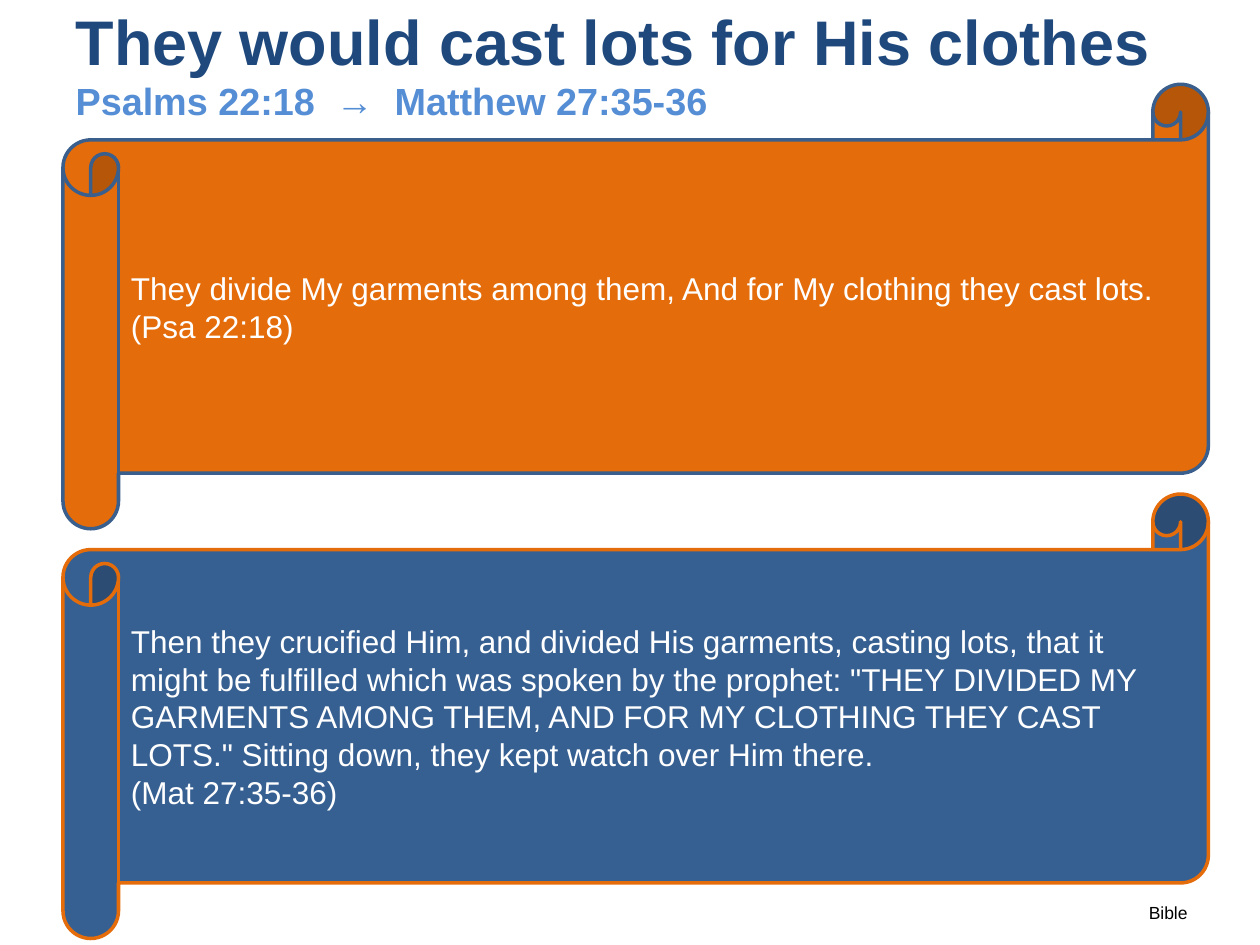
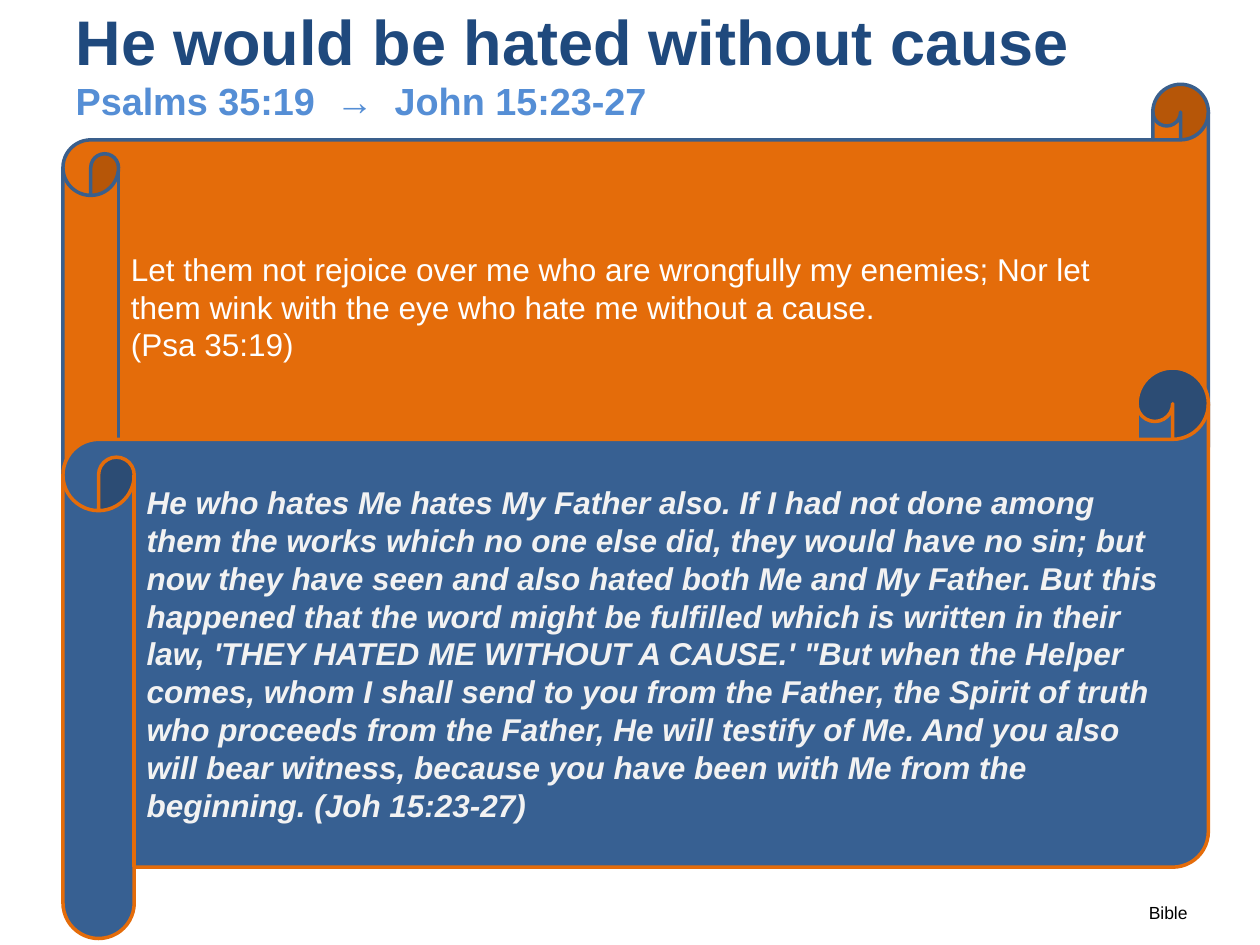
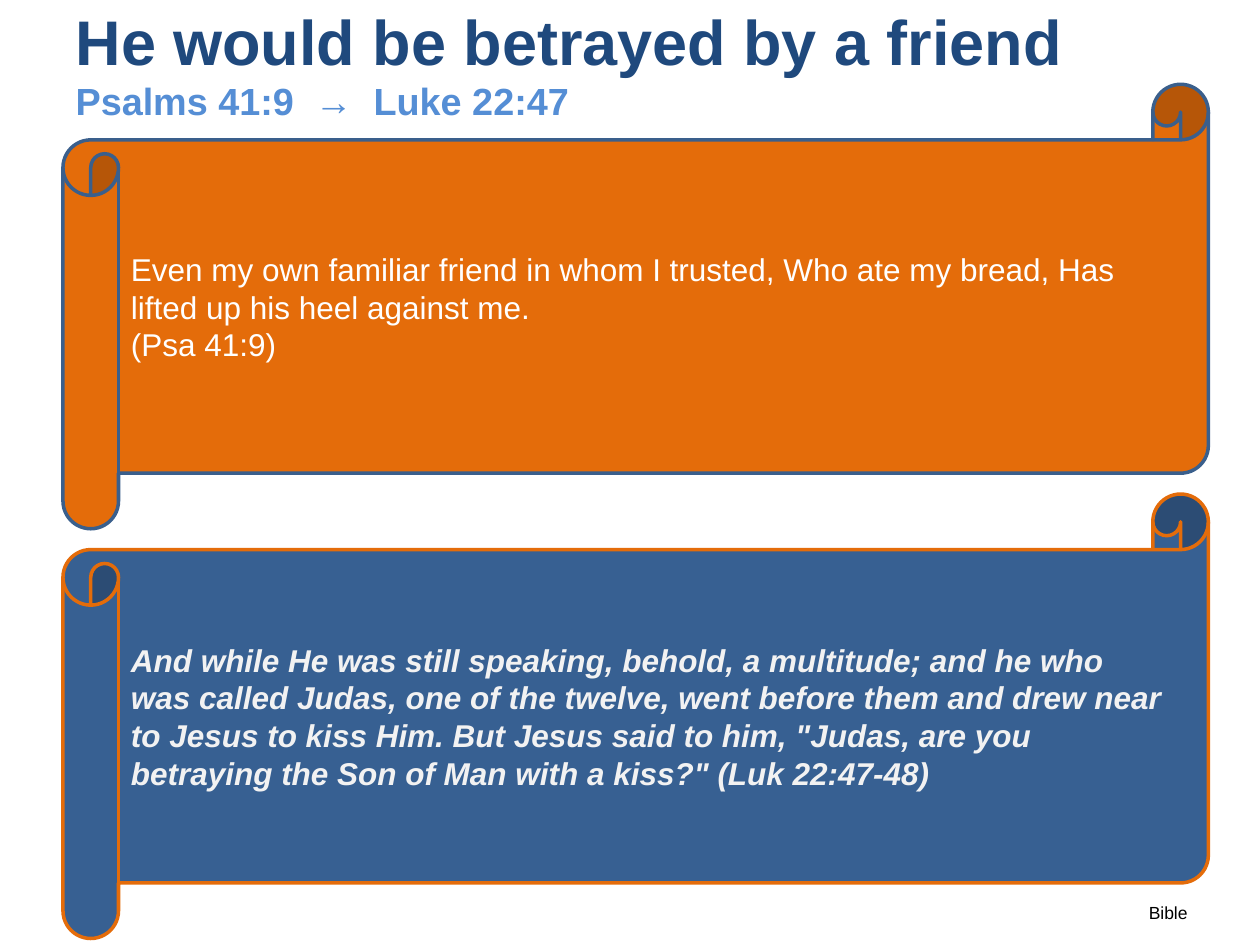
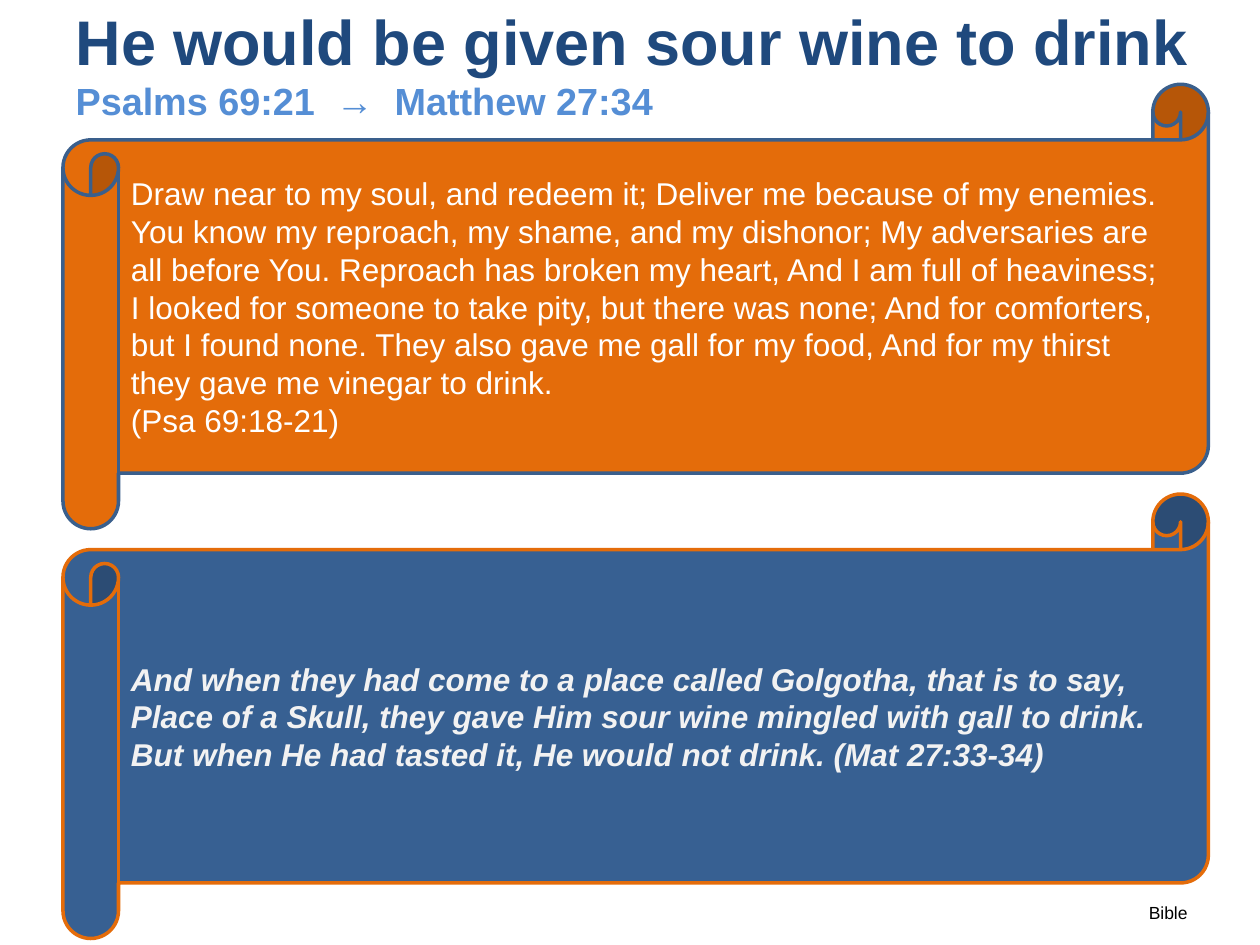
import pptx
import pptx.dml.color
import pptx.enum.shapes
import pptx.enum.text
import pptx.util

COLORS = {
    "title": "1F497D",
    "reference": "558ED5",
    "psalm": "E46C0A",
    "psalm_edge": "3A5F8C",
    "gospel": "376092",
    "white": "FFFFFF",
    "soft_white": "F2F2F2",
    "black": "000000",
}
FONT = "Arial"
LEFT = pptx.util.Cm(1.27)
SCROLL_WIDTH = pptx.util.Cm(23.09)
PSALM_TOP, PSALM_BOTTOM = pptx.util.Cm(1.7), pptx.util.Cm(10.66)
GOSPEL_BOTTOM = pptx.util.Cm(18.92)

# Each prophecy: verses are lists of paragraphs
PROPHECIES = [
    {
        "title": "They would cast lots for His clothes",
        "reference": "Psalms 22:18  →  Matthew 27:35-36",
        "title_width": 22.86,
        "psalm": [
            "They divide My garments among them, And for My clothing they cast lots.",
            "(Psa 22:18)",
        ],
        "gospel": [
            "Then they crucified Him, and divided His garments, casting lots, that it "
            "might be fulfilled which was spoken by the prophet: \"THEY DIVIDED MY "
            "GARMENTS AMONG THEM, AND FOR MY CLOTHING THEY CAST LOTS.\" Sitting down, "
            "they kept watch over Him there.",
            "(Mat 27:35-36)",
        ],
        "gospel_top": 9.96,
        "gospel_emphasis": False,
    },
    {
        "title": "He would be hated without cause",
        "reference": "Psalms 35:19  →  John 15:23-27",
        "title_width": 22.86,
        "psalm": [
            "Let them not rejoice over me who are wrongfully my enemies; Nor let them "
            "wink with the eye who hate me without a cause.",
            "(Psa 35:19)",
        ],
        "gospel": [
            "He who hates Me hates My Father also. If I had not done among them the "
            "works which no one else did, they would have no sin; but now they have "
            "seen and also hated both Me and My Father. But this happened that the "
            "word might be fulfilled which is written in their law, 'THEY HATED ME "
            "WITHOUT A CAUSE.' \"But when the Helper comes, whom I shall send to you "
            "from the Father, the Spirit of truth who proceeds from the Father, He "
            "will testify of Me. And you also will bear witness, because you have "
            "been with Me from the beginning. (Joh 15:23-27)",
        ],
        "gospel_top": 7.42,
        "gospel_emphasis": True,
    },
    {
        "title": "He would be betrayed by a friend",
        "reference": "Psalms 41:9  →  Luke 22:47",
        "title_width": 22.86,
        "psalm": [
            "Even my own familiar friend in whom I trusted, Who ate my bread, Has "
            "lifted up his heel against me.",
            "(Psa 41:9)",
        ],
        "gospel": [
            "And while He was still speaking, behold, a multitude; and he who was "
            "called Judas, one of the twelve, went before them and drew near to Jesus "
            "to kiss Him. But Jesus said to him, \"Judas, are you betraying the Son of "
            "Man with a kiss?\" (Luk 22:47-48)",
        ],
        "gospel_top": 9.96,
        "gospel_emphasis": True,
    },
    {
        "title": "He would be given sour wine to drink",
        "reference": "Psalms 69:21  →  Matthew 27:34",
        "title_width": 23.7,
        "psalm": [
            "Draw near to my soul, and redeem it; Deliver me because of my enemies. "
            "You know my reproach, my shame, and my dishonor; My adversaries are all "
            "before You. Reproach has broken my heart, And I am full of heaviness; I "
            "looked for someone to take pity, but there was none; And for comforters, "
            "but I found none. They also gave me gall for my food, And for my thirst "
            "they gave me vinegar to drink.",
            "(Psa 69:18-21)",
        ],
        "gospel": [
            "And when they had come to a place called Golgotha, that is to say, Place "
            "of a Skull, they gave Him sour wine mingled with gall to drink. But when "
            "He had tasted it, He would not drink. (Mat 27:33-34)",
        ],
        "gospel_top": 9.96,
        "gospel_emphasis": True,
    },
]


def set_font(font, size, color, bold=False, italic=False):
    font.name = FONT
    font.size = pptx.util.Pt(size)
    font.bold = bold
    font.italic = italic
    font.color.rgb = pptx.dml.color.RGBColor.from_string(COLORS[color])


def add_scroll(slide, verse, top, bottom, fill, edge, text_color, emphasis):
    scroll = slide.shapes.add_shape(
        pptx.enum.shapes.MSO_SHAPE.HORIZONTAL_SCROLL,
        LEFT, top, SCROLL_WIDTH, bottom - top)
    scroll.shadow.inherit = False
    scroll.fill.solid()
    scroll.fill.fore_color.rgb = pptx.dml.color.RGBColor.from_string(COLORS[fill])
    scroll.line.color.rgb = pptx.dml.color.RGBColor.from_string(COLORS[edge])
    scroll.line.width = pptx.util.Pt(2)
    scroll.text_frame.text = "\n".join(verse)
    scroll.text_frame.vertical_anchor = pptx.enum.text.MSO_ANCHOR.MIDDLE
    for paragraph in scroll.text_frame.paragraphs:
        paragraph.alignment = pptx.enum.text.PP_ALIGN.LEFT
        set_font(paragraph.font, 18, text_color, emphasis, emphasis)


deck = pptx.Presentation()
deck.slide_width, deck.slide_height = pptx.util.Cm(25.4), pptx.util.Cm(19.05)
title_only = deck.slide_layouts[5]

for prophecy in PROPHECIES:
    slide = deck.slides.add_slide(title_only)

    # Title with the scripture references on its second line
    title = slide.shapes.title
    title.left, title.top = LEFT, pptx.util.Cm(0)
    title.width = pptx.util.Cm(prophecy["title_width"])
    title.height = pptx.util.Cm(2.54)
    title.text_frame.auto_size = pptx.enum.text.MSO_AUTO_SIZE.NONE
    title.text_frame.vertical_anchor = pptx.enum.text.MSO_ANCHOR.MIDDLE
    heading = title.text_frame.paragraphs[0]
    heading.alignment = pptx.enum.text.PP_ALIGN.LEFT
    set_font(heading.font, 36, "title", bold=True)
    heading.add_run().text = prophecy["title"]
    heading.add_line_break()
    reference = heading.add_run()
    reference.text = prophecy["reference"]
    set_font(reference.font, 21.6, "reference", bold=True)

    # Prophecy above, fulfilment below
    add_scroll(slide, prophecy["psalm"], PSALM_TOP, PSALM_BOTTOM,
               "psalm", "psalm_edge", "white", False)
    emphasis = prophecy["gospel_emphasis"]
    add_scroll(slide, prophecy["gospel"], pptx.util.Cm(prophecy["gospel_top"]),
               GOSPEL_BOTTOM, "gospel", "psalm",
               "soft_white" if emphasis else "white", emphasis)

    # Source of the verses
    verse_source = slide.shapes.add_textbox(
        pptx.util.Cm(22.91), pptx.util.Cm(18.06),
        pptx.util.Cm(1.42), pptx.util.Cm(0.69))
    verse_source.text_frame.word_wrap = False
    verse_source.text_frame.auto_size = pptx.enum.text.MSO_AUTO_SIZE.SHAPE_TO_FIT_TEXT
    verse_source.text_frame.text = "Bible"
    set_font(verse_source.text_frame.paragraphs[0].font, 10, "black")

deck.save("out.pptx")
